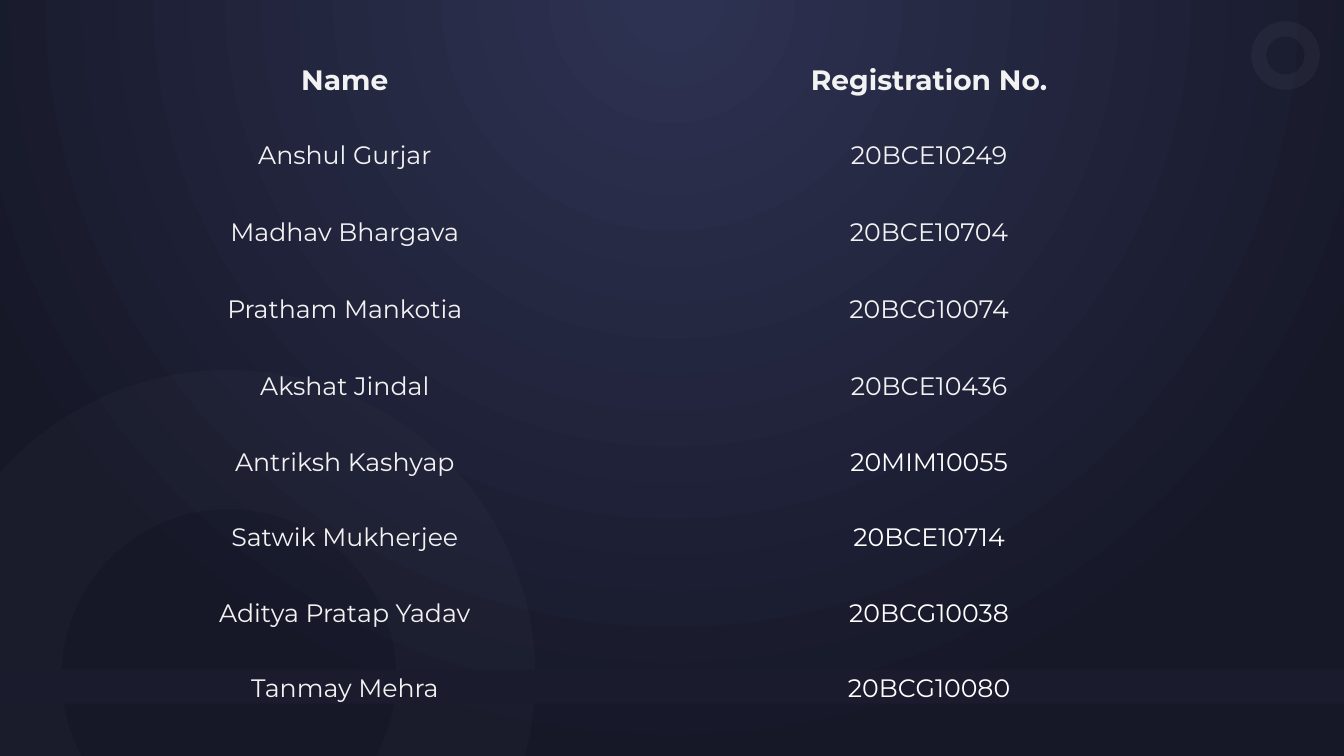
from dataclasses import dataclass
from itertools import pairwise
from math import acos, asin, cos, pi, sin, tan

from lxml.etree import SubElement
from pptx import Presentation
from pptx.dml.color import RGBColor
from pptx.enum.shapes import MSO_SHAPE
from pptx.enum.text import MSO_ANCHOR, PP_ALIGN
from pptx.oxml.ns import qn
from pptx.util import Inches, Pt

WIDTH, HEIGHT = 13.33, 7.5
NO_GRID_STYLE = "{2D5ABB26-0587-4C30-8999-92F81FD0307C}"


@dataclass(frozen=True)
class Theme:
    font: str = "Montserrat"
    head_size: int = 20
    body_size: int = 18
    glow: str = "2E3252"
    night: str = "161828"
    band: str = "1A1C2E"
    text: str = "F2F2F2"
    white: str = "FFFFFF"


THEME = Theme()
HEADINGS = ("Name", "Registration No.")
MEMBERS = [
    ("Anshul Gurjar", "20BCE10249"),
    ("Madhav Bhargava", "20BCE10704"),
    ("Pratham Mankotia", "20BCG10074"),
    ("Akshat Jindal", "20BCE10436"),
    ("Antriksh Kashyap", "20MIM10055"),
    ("Satwik Mukherjee", "20BCE10714"),
    ("Aditya Pratap Yadav", "20BCG10038"),
    ("Tanmay Mehra", "20BCG10080"),
]
FIRST_WHITE_NUMBER = 5  # table row from which the numbers are pure white


def rgb(value):
    return RGBColor.from_string(value)


def paint(shape, color, opacity=100):
    """Flat fill without line or shadow, opacity in percent."""
    shape.shadow.inherit = False
    shape.line.fill.background()
    shape.fill.solid()
    shape.fill.fore_color.rgb = rgb(color)
    if opacity < 100:
        tint = shape.element.spPr.find(qn("a:solidFill"))[0]
        SubElement(tint, qn("a:alpha"), val=str(opacity * 1000))


def add_background(page):
    """Radial glow centred above the top edge."""
    fill = page.background.fill
    fill.gradient()
    for stop, color, position in zip(
        fill.gradient_stops, (THEME.glow, THEME.night), (0.02, 1)
    ):
        stop.color.rgb = rgb(color)
        stop.position = position
    gradient = page.element.find(".//" + qn("a:gradFill"))
    gradient.remove(gradient.find(qn("a:lin")))
    circle = SubElement(gradient, qn("a:path"), path="circle")
    SubElement(circle, qn("a:fillToRect"),
               l="50000", t="-80000", r="50000", b="180000")


def arc(center_x, center_y, radius, angles):
    """Bezier knots (handle, handle, end) through the angles, start first."""
    def at(angle, lean=0):
        return (center_x + radius * (cos(angle) - lean * sin(angle)),
                center_y - radius * (sin(angle) + lean * cos(angle)))

    knots = [(at(angles[0]),)]
    for start, end in pairwise(angles):
        lean = 4 / 3 * tan((end - start) / 4)
        knots.append((at(start, lean), at(end, -lean), at(end)))
    return knots


def add_outline(page, contours, opacity):
    """Freeform whose three-point knots become Bezier curves."""
    emu = [[[(Inches(x), Inches(y)) for x, y in knot] for knot in contour]
           for contour in contours]
    builder = page.shapes.build_freeform(*emu[0][0][-1])
    for number, contour in enumerate(emu):
        if number:
            builder.move_to(*contour[0][-1])
        builder.add_line_segments([knot[-1] for knot in contour[1:]], close=True)
    shape = builder.convert_to_shape()
    lines = list(shape.element.iter(qn("a:lnTo")))
    knots = [knot for contour in emu for knot in contour[1:]]
    for line, knot in zip(lines, knots):
        if len(knot) == 3:
            line.tag = qn("a:cubicBezTo")
            line.remove(line[0])
            for x, y in knot:
                SubElement(line, qn("a:pt"),
                           x=str(x - shape.left), y=str(y - shape.top))
    paint(shape, THEME.white, opacity)


def add_corner_ring(page, center_x, center_y, outer, inner):
    """Ring cut off by the left and bottom edges of the slide."""
    drop = HEIGHT - center_y
    dip = asin(drop / inner)
    rim = arc(center_x, center_y, outer,
              [-asin(drop / outer), 0, pi / 2, acos(-center_x / outer)])
    hole = arc(center_x, center_y, inner, [pi + dip, pi, pi / 2, 0, -dip])
    add_outline(page, [rim + [((0, HEIGHT),)] + hole], 2)


def add_small_ring(page, center_x, center_y, outer, inner):
    turn = [quarter * pi / 2 for quarter in range(5)]
    add_outline(page, [arc(center_x, center_y, outer, turn),
                       arc(center_x, center_y, inner, turn[::-1])], 4)


def add_band(page, top, height):
    band = page.shapes.add_shape(
        MSO_SHAPE.RECTANGLE, *map(Inches, (0, top, WIDTH, height)))
    paint(band, THEME.band)


def fill_cell(cell, text, size, color, bold):
    cell.fill.background()
    cell.vertical_anchor = MSO_ANCHOR.MIDDLE
    para = cell.text_frame.paragraphs[0]
    para.text = text
    para.alignment = PP_ALIGN.CENTER
    font = para.runs[0].font
    font.name, font.size, font.bold = THEME.font, Pt(size), bold
    font.color.rgb = rgb(color)


def add_member_table(page, left, top, columns, rows):
    frame = page.shapes.add_table(
        len(rows), len(columns),
        *map(Inches, (left, top, sum(columns), sum(rows))))
    frame.element.find(".//" + qn("a:tableStyleId")).text = NO_GRID_STYLE
    table = frame.table
    table.first_row = table.horz_banding = False
    for column, width in zip(table.columns, columns):
        column.width = Inches(width)
    for row, height in zip(table.rows, rows):
        row.height = Inches(height)
    for r, record in enumerate([HEADINGS] + MEMBERS):
        heading = r == 0
        size = THEME.head_size if heading else THEME.body_size
        for c, text in enumerate(record):
            white = c == 1 and r >= FIRST_WHITE_NUMBER
            fill_cell(table.cell(r, c), text, size,
                      THEME.white if white else THEME.text, heading)


def build_members_slide(deck):
    page = deck.slides.add_slide(deck.slide_layouts[6])
    add_background(page)
    # Decoration
    add_corner_ring(page, 2.27, 6.71, outer=3.04, inner=1.66)
    add_small_ring(page, 12.75, 0.55, outer=0.34, inner=0.19)
    add_band(page, 6.64, 0.34)
    # Team members
    add_member_table(page, 0.68, 0.42, columns=(5.48, 6.11),
                     rows=[0.75] * 2 + [0.77] * 2 + [0.75] * 5)


def main():
    deck = Presentation()
    deck.slide_width, deck.slide_height = Inches(WIDTH), Inches(HEIGHT)
    build_members_slide(deck)
    deck.save("out.pptx")


if __name__ == "__main__":
    main()
